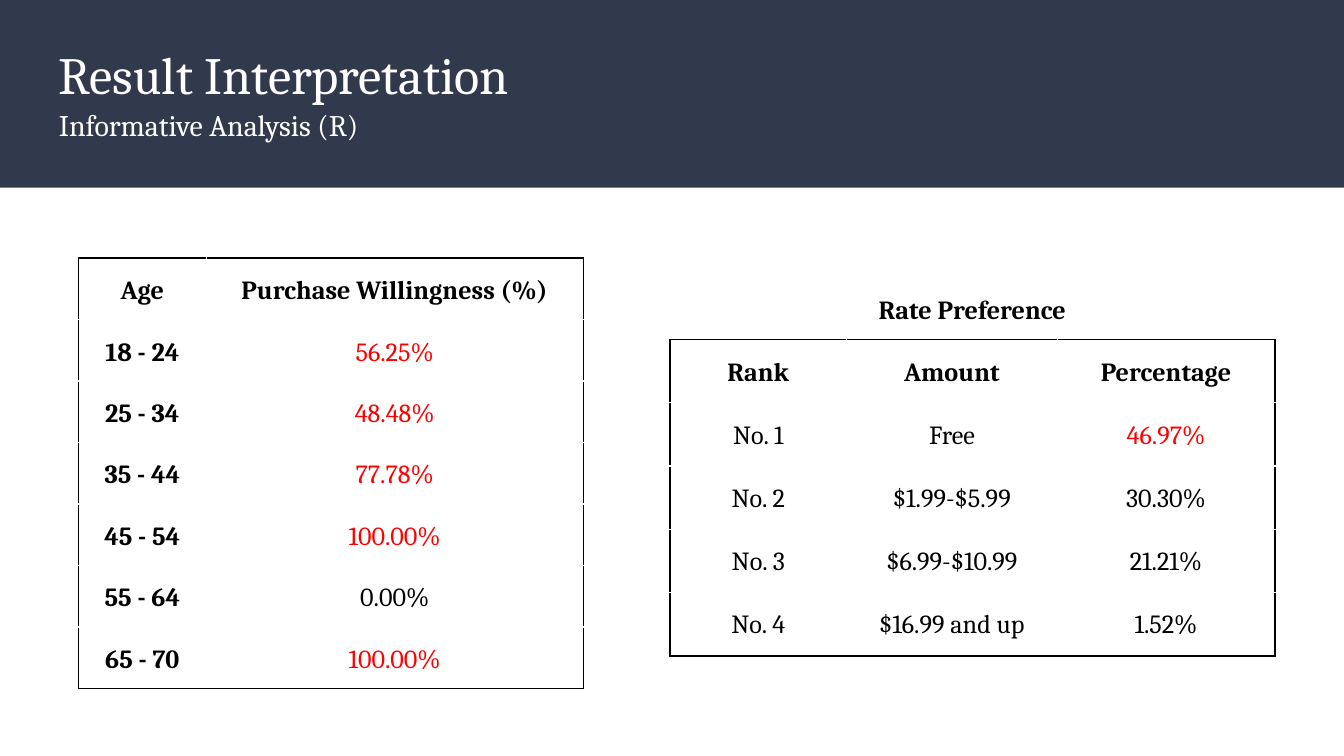
import dataclasses

import pptx
import pptx.dml.color
import pptx.enum.shapes
import pptx.enum.text
import pptx.oxml
import pptx.oxml.ns
import pptx.util

Pt = pptx.util.Pt


@dataclasses.dataclass(frozen=True)
class Theme:
    """Colours, font, type sizes and line widths of the slide."""
    navy: str = "31394D"
    white: str = "FFFFFF"
    black: str = "000000"
    red: str = "FF0000"
    font: str = "Cambria"
    title_size: int = 28
    subtitle_size: int = 16
    table_size: int = 14
    frame_width: float = 1
    inner_width: float = 0.75
    margin: float = 7.2
    line_spacing: float = 1.15


THEME = Theme()

WILLINGNESS = [
    ("Age", "Purchase Willingness (%)"),
    ("18 - 24", "56.25%"),
    ("25 - 34", "48.48%"),
    ("35 - 44", "77.78%"),
    ("45 - 54", "100.00%"),
    ("55 - 64", "0.00%"),
    ("65 - 70", "100.00%"),
]

PREFERENCE = [
    ("Rate Preference", "", ""),
    ("Rank", "Amount", "Percentage"),
    ("No. 1", "Free", "46.97%"),
    ("No. 2", "$1.99-$5.99", "30.30%"),
    ("No. 3", "$6.99-$10.99", "21.21%"),
    ("No. 4", "$16.99 and up", "1.52%"),
]


def rgb(colour):
    """Turn a hex string into a colour object."""
    return pptx.dml.color.RGBColor.from_string(colour)


def add_span(para, text, size, colour, bold=False):
    """Add one styled run to a paragraph."""
    para.line_spacing = THEME.line_spacing
    span = para.add_run()
    span.text = text
    span.font.name = THEME.font
    span.font.size = Pt(size)
    span.font.bold = bold
    span.font.color.rgb = rgb(colour)


def set_margins(holder):
    """Give a text frame or cell the same margin on all sides."""
    for side in ("left", "top", "right", "bottom"):
        setattr(holder, f"margin_{side}", Pt(THEME.margin))


def add_banner(page, width, height):
    """Draw the plain band across the top."""
    banner = page.shapes.add_shape(
        pptx.enum.shapes.MSO_SHAPE.RECTANGLE, Pt(0), Pt(0), Pt(width), Pt(height))
    banner.shadow.inherit = False
    banner.fill.solid()
    banner.fill.fore_color.rgb = rgb(THEME.navy)
    banner.line.fill.background()


def add_heading(page, title, subtitle):
    """Add the title with its subtitle below."""
    box = page.shapes.add_textbox(Pt(24.5), Pt(14.4), Pt(671), Pt(72))
    frame = box.text_frame
    frame.word_wrap = True
    frame.auto_size = pptx.enum.text.MSO_AUTO_SIZE.TEXT_TO_FIT_SHAPE
    set_margins(frame)
    add_span(frame.paragraphs[0], title, THEME.title_size, THEME.white)
    add_span(frame.add_paragraph(), subtitle, THEME.subtitle_size, THEME.white)


def set_border(cell, side, framed):
    """Draw one cell side, dark where it belongs to the frame."""
    colour = THEME.black if framed else THEME.white
    width = Pt(THEME.frame_width if framed else THEME.inner_width)
    cell._tc.get_or_add_tcPr().append(pptx.oxml.parse_xml(
        f'<a:ln{side} {pptx.oxml.ns.nsdecls("a")} w="{width}"><a:solidFill>'
        f'<a:srgbClr val="{colour}"/></a:solidFill></a:ln{side}>'))


def add_grid(page, rows, place, widths, heights, header, bold_columns, red_cells):
    """Add a table framed from its header row to its last row."""
    left, top, height = place
    graphic = page.shapes.add_table(
        len(rows), len(widths), Pt(left), Pt(top), Pt(sum(widths)), Pt(height))
    grid = graphic.table
    grid.first_row = grid.horz_banding = False
    for column, width in zip(grid.columns, widths):
        column.width = Pt(width)
    for row, row_height in zip(grid.rows, heights):
        row.height = Pt(row_height)
    graphic.height = Pt(height)
    if header:
        grid.cell(0, 0).merge(grid.cell(0, len(widths) - 1))
    last_row, last_column = len(rows) - 1, len(widths) - 1
    for row, texts in enumerate(rows):
        for column, text in enumerate(texts):
            cell = grid.cell(row, column)
            set_margins(cell)
            inside = row >= header
            set_border(cell, "L", inside and column == 0)
            set_border(cell, "R", inside and column == last_column)
            set_border(cell, "T", row == header)
            set_border(cell, "B", row in (header - 1, last_row))
            cell.fill.background()
            if text:
                para = cell.text_frame.paragraphs[0]
                para.alignment = pptx.enum.text.PP_ALIGN.CENTER
                colour = THEME.red if (row, column) in red_cells else THEME.black
                bold = row <= header or column in bold_columns
                add_span(para, text, THEME.table_size, colour, bold)


def main():
    """Build the slide and save it."""
    deck = pptx.Presentation()
    deck.slide_width, deck.slide_height = Pt(720), Pt(405)
    page = deck.slides.add_slide(deck.slide_layouts[6])
    add_banner(page, 720, 100.5)
    add_heading(page, "Result Interpretation", "Informative Analysis (R)")
    add_grid(page, WILLINGNESS, (42, 138.25, 227.5), (68.5, 202), [26.6] * 7,
             header=0, bold_columns={0},
             red_cells={(row, 1) for row in (1, 2, 3, 4, 6)})
    add_grid(page, PREFERENCE, (359, 149, 202.3), (94.5, 113, 116.5),
             [26] + [33.9] * 5, header=1, bold_columns=set(),
             red_cells={(2, 2)})
    deck.save("out.pptx")


if __name__ == "__main__":
    main()
